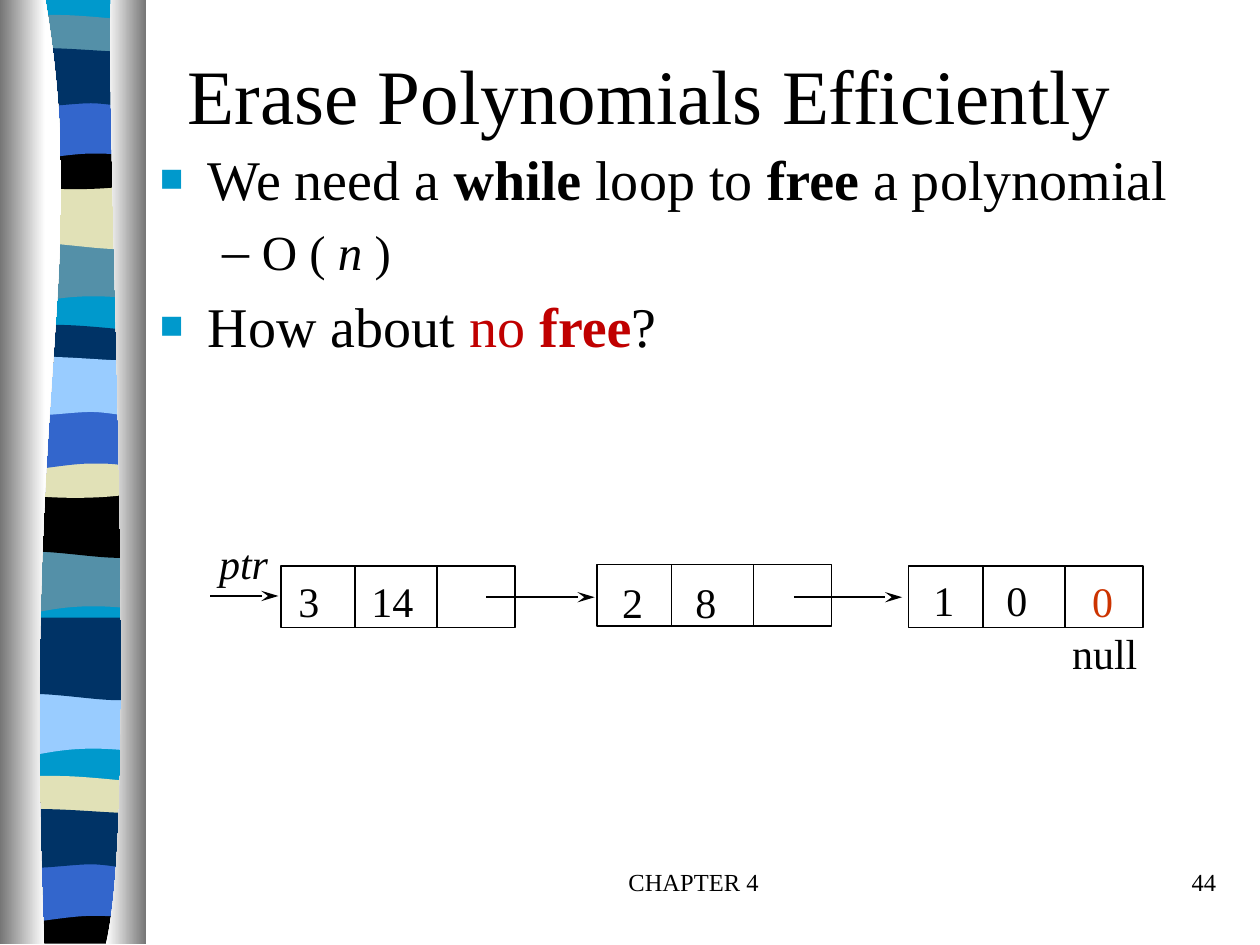
from lxml import etree
from pptx import Presentation
from pptx.dml.color import RGBColor
from pptx.enum import shapes as kinds, text as txt
from pptx.oxml import ns
from pptx.util import Inches, Pt

FONT = "Times New Roman"
BLACK, RED, ORANGE = "000000", "C00000", "CC3300"
CYAN, TEAL, NAVY, BLUE, SKY, SAND = "0099CC", "5490A8", "003366", "3366CC", "99CCFF", "E1E1B7"
GRAY, WHITE = "767676", "FFFFFF"

TITLE = "Erase Polynomials Efficiently"
# level, size, spans of (words, format)
BODY = [
    (0, 32, [("We need a ", {}), ("while", {"bold": True}), (" loop to ", {}),
             ("free", {"bold": True}), (" a polynomial", {})]),
    (1, 28, [("O ( ", {}), ("n ", {"italic": True}), (")", {})]),
    (0, 32, [("How about ", {}), ("no ", {"color": RED}),
             ("free", {"color": RED, "bold": True}), ("?", {})]),
]
# left indent, hanging indent, bullet, bullet colour, bullet size in percent
LEVELS = [(0.38, -0.38, "■", CYAN, 70), (0.81, -0.31, "–", BLACK, 110)]

# Node: left edge, top, values and their left and top
NODES = [(2.23, 4.49, "3\t14", 2.27, 4.52),
         (4.74, 4.48, "2\t8", 4.84, 4.53),
         (7.21, 4.49, "1\t0", 7.31, 4.51)]
NODE_WIDTH, NODE_HEIGHT = 1.86, 0.49
DIVIDERS = [0.59, 1.24]
VALUE_STEP = 0.58
# from x, to x, y
ARROWS = [(1.67, 2.21, 4.73), (3.86, 4.72, 4.74), (6.3, 7.16, 4.74)]
# words, left, top, width, format
LABELS = [("ptr", 1.64, 4.22, 0.6, {"italic": True}),
          ("0", 8.57, 4.52, 0.37, {"color": ORANGE}),
          ("null", 8.41, 4.93, 0.72, {})]

# Stripe outlines, y from the stripe's top; two numbers are a corner, six a Bezier curve
L, R = 0.05, 1.14
STRIPES = {
    "wave": [(R, 0), (R, 0.47), (0.39, 0.39, 0.24, 0.55, L, 0.47), (L, 0)],
    "dip": [(R, 0), (R, 0.47), (0.96, 0.55, 0.39, 0.42, L, 0.47), (L, 0)],
    "crest": [(R, 0.05), (R, 0.29), (0.96, 0.34, 0.24, 0.34, L, 0.29), (L, 0.05),
              (0.12, 0, 0.29, 0.01, 0.47, 0.01), (0.65, 0.01, 1, 0.04, R, 0.05)],
    "bowl": [(R, 0), (R, 0.32), (0.96, 0.38, 0.24, 0.38, L, 0.32), (L, 0),
             (0.72, 0.05, 0.91, 0, R, 0)],
    "base": [(R, 0), (R, 0.37), (L, 0.37), (L, 0), (0.72, 0.05, 0.91, 0, R, 0)],
    "arch": [(R, 0), (R, 0.47), (0.97, 0.42, 0.9, 0.42, 0.72, 0.42),
             (0.54, 0.42, 0.22, 0.47, L, 0.47), (L, 0)],
    "ribbon": [(R, 0.05), (R, 0.36), (1.07, 0.41, 0.9, 0.36, 0.72, 0.36),
               (0.54, 0.36, 0.17, 0.41, L, 0.36), (L, 0.05),
               (0.21, 0, 0.79, 0.05, 0.97, 0.05)],
    "backing": [(R, 0), (R, 7.47), (L, 7.47), (L, 0)],
}
STRETCH = 1.32  # height factor about a stripe's middle
UNSTRETCHED = {"backing", "base"}
# outline, top, colour, from back to front
STRIPE_STACK = [
    ("backing", 0, CYAN),
    ("wave", 1.85, TEAL), ("dip", 1.41, SAND), ("crest", 0.16, TEAL),
    ("bowl", 1.08, BLACK), ("arch", 0.74, BLUE), ("ribbon", 0.41, NAVY),
    ("wave", 4.31, TEAL), ("dip", 3.86, BLACK), ("crest", 2.62, NAVY),
    ("bowl", 3.53, SAND), ("arch", 3.2, BLUE), ("ribbon", 2.86, SKY),
    ("wave", 5.44, SKY), ("dip", 4.99, NAVY), ("crest", 6.2, SAND),
    ("base", 7.12, BLACK), ("arch", 6.79, BLUE), ("ribbon", 6.45, NAVY),
]
# outline, left colour, right colour
COLUMNS = [
    ([(0.36, 0), (0.72, 2.16, 0.17, 2.96, 0.35, 7.49), (0, 7.49), (0, 0)], GRAY, WHITE),
    ([(0.88, 0), (0.84, 1.25, 1.11, 6.46, 0.84, 7.49), (1.16, 7.49), (1.16, 0)], WHITE, GRAY),
]


def rgb(color):
    return RGBColor.from_string(color)


def add_child(parent, tag, **attributes):
    return etree.SubElement(parent, ns.qn(tag), **attributes)


def add_outline(slide, outline, top=0, stretch=1):
    """Draw a closed outline, turning the segments with six numbers into curves."""
    middle = max(y for part in outline for y in part[1::2]) / 2

    def place(x, y):
        return Inches(x), Inches(top + middle + (y - middle) * stretch)

    ends = [place(*part[-2:]) for part in outline]
    builder = slide.shapes.build_freeform(*ends[0])
    builder.add_line_segments(ends[1:], close=True)
    shape = builder.convert_to_shape()
    segments = list(shape._element.iter(ns.qn("a:lnTo")))
    for part, segment in zip(outline[1:], segments):
        if len(part) == 6:
            curve = etree.Element(ns.qn("a:cubicBezTo"))
            for x, y in zip(part[::2], part[1::2]):
                x, y = place(x, y)
                add_child(curve, "a:pt", x=str(x - shape.left), y=str(y - shape.top))
            segment.getparent().replace(segment, curve)
    shape.shadow.inherit = False
    shape.line.fill.background()
    return shape


def add_span(para, words, size, color=BLACK, bold=False, italic=False):
    span = para.add_run()
    span.text = words
    font = span.font
    font.name, font.size, font.bold, font.italic = FONT, Pt(size), bold, italic
    font.color.rgb = rgb(color)


def add_box(slide, left, top, width, height, wrap=True):
    box = slide.shapes.add_textbox(*map(Inches, (left, top, width, height)))
    box.text_frame.word_wrap = wrap
    return box.text_frame


def add_text(slide, words, place, size, align=txt.PP_ALIGN.LEFT, wrap=True, **style):
    frame = add_box(slide, *place, wrap=wrap)
    frame.paragraphs[0].alignment = align
    add_span(frame.paragraphs[0], words, size, **style)
    return frame


def set_bullet(para, level):
    left, hanging, mark, color, percent = LEVELS[level]
    props = para._p.get_or_add_pPr()
    props.set("marL", str(Inches(left)))
    props.set("indent", str(Inches(hanging)))
    add_child(add_child(props, "a:spcBef"), "a:spcPct", val="20000")
    add_child(add_child(props, "a:buClr"), "a:srgbClr", val=color)
    add_child(props, "a:buSzPct", val=str(percent * 1000))
    add_child(props, "a:buFont", typeface=FONT)
    add_child(props, "a:buChar", char=mark)


def add_line(slide, start, end, arrow=False):
    line = slide.shapes.add_connector(kinds.MSO_CONNECTOR.STRAIGHT,
                                      *map(Inches, (*start, *end)))
    line.line.color.rgb = rgb(BLACK)
    line.line.width = Pt(1)
    if arrow:
        add_child(line.line._get_or_add_ln(), "a:tailEnd", type="stealth", w="med", len="lg")
    add_child(line._element.spPr, "a:effectLst")


def add_node(slide, left, top, values, value_left, value_top):
    node = slide.shapes.add_shape(kinds.MSO_SHAPE.RECTANGLE, *map(
        Inches, (left, top, NODE_WIDTH, NODE_HEIGHT)))
    node.shadow.inherit = False
    node.fill.background()
    node.line.color.rgb = rgb(BLACK)
    node.line.width = Pt(1)
    for offset in DIVIDERS:
        add_line(slide, (left + offset, top), (left + offset, top + NODE_HEIGHT))
    frame = add_text(slide, values, (value_left, value_top, 1.2, 0.5), 24)
    tabs = add_child(frame.paragraphs[0]._p.get_or_add_pPr(), "a:tabLst")
    add_child(tabs, "a:tab", pos=str(Inches(VALUE_STEP)), algn="l")


def main():
    deck = Presentation()
    deck.slide_width, deck.slide_height = Inches(10), Inches(7.5)
    slide = deck.slides.add_slide(deck.slide_layouts[6])

    for name, top, color in STRIPE_STACK:
        stretch = 1 if name in UNSTRETCHED else STRETCH
        stripe = add_outline(slide, STRIPES[name], top, stretch)
        stripe.fill.solid()
        stripe.fill.fore_color.rgb = rgb(color)
    for outline, *colors in COLUMNS:
        column = add_outline(slide, outline)
        column.fill.gradient()
        column.fill.gradient_angle = 0
        for stop, color in zip(column.fill.gradient_stops, colors):
            stop.color.rgb = rgb(color)

    add_text(slide, "CHAPTER 4", (3.92, 6.83, 3.17, 0.5), 14, txt.PP_ALIGN.CENTER)
    add_text(slide, "44", (7.67, 6.83, 2.08, 0.5), 14, txt.PP_ALIGN.RIGHT)
    title = add_text(slide, TITLE, (0.55, 0.12, 9.21, 1.25), 44, txt.PP_ALIGN.CENTER)
    title.vertical_anchor = txt.MSO_ANCHOR.MIDDLE

    body = add_box(slide, 1.17, 1.1, 8.67, 4.5)
    for index, (level, size, spans) in enumerate(BODY):
        para = body.add_paragraph() if index else body.paragraphs[0]
        para.level = level
        set_bullet(para, level)
        for words, style in spans:
            add_span(para, words, size, **style)

    for node in NODES:
        add_node(slide, *node)
    for start, end, y in ARROWS:
        add_line(slide, (start, y), (end, y), arrow=True)
    for words, left, top, width, style in LABELS:
        add_text(slide, words, (left, top, width, 0.5), 24, wrap=False, **style)

    deck.save("out.pptx")


if __name__ == "__main__":
    main()
